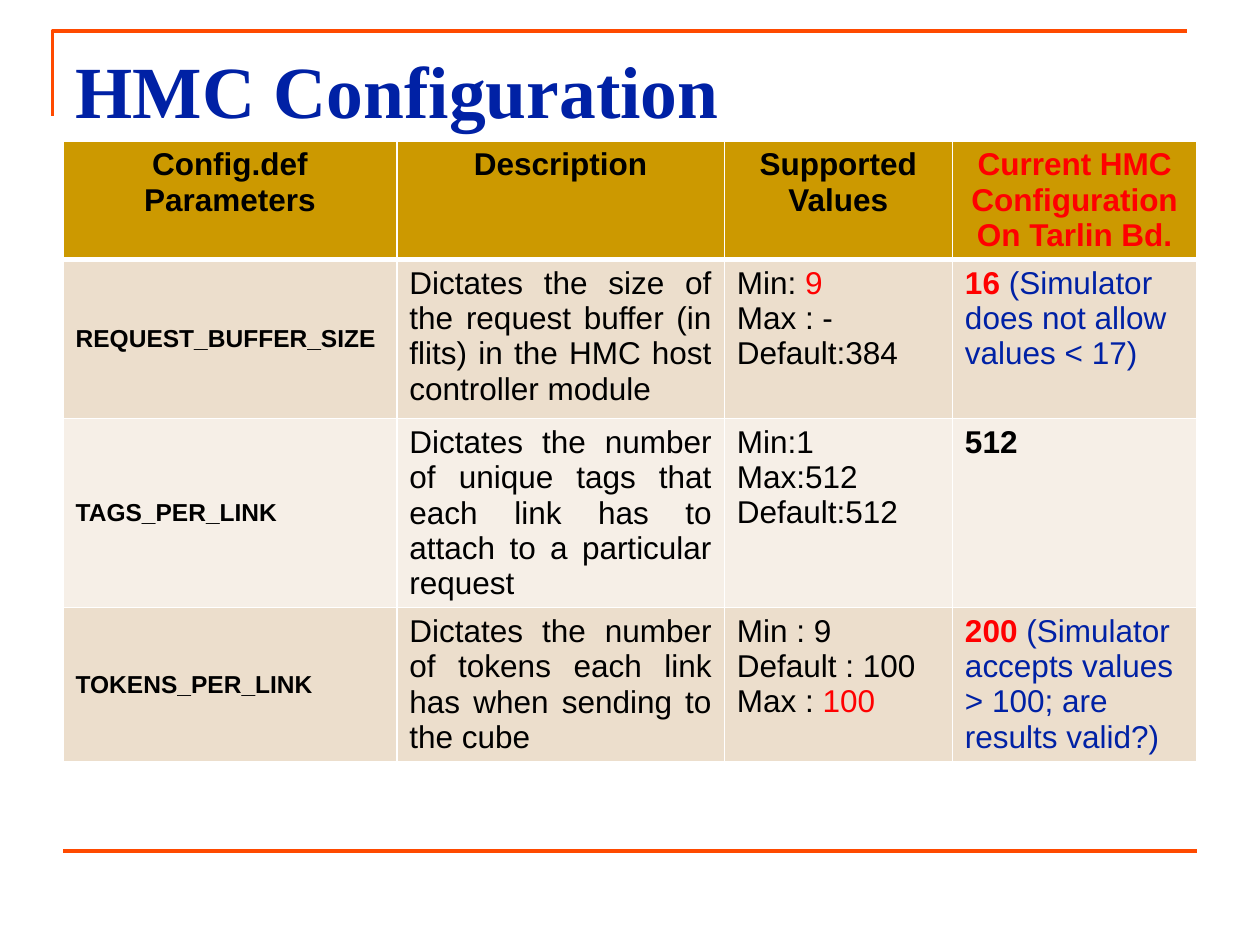
import pptx
import pptx.dml.color
import pptx.enum.shapes
import pptx.enum.text
import pptx.oxml
import pptx.oxml.ns
import pptx.util

RGBColor = pptx.dml.color.RGBColor
ALIGN = pptx.enum.text.PP_ALIGN
ANCHOR = pptx.enum.text.MSO_ANCHOR
Cm = pptx.util.Cm
Pt = pptx.util.Pt

ORANGE = RGBColor(0xFF, 0x4A, 0x00)
BLUE = RGBColor(0x00, 0x21, 0xA5)
RED = RGBColor(0xFF, 0x00, 0x00)
BLACK = RGBColor(0x00, 0x00, 0x00)
WHITE = RGBColor(0xFF, 0xFF, 0xFF)
GOLD = RGBColor(0xCC, 0x99, 0x00)
BAND_FILLS = (RGBColor(0xEC, 0xDE, 0xCC), RGBColor(0xF6, 0xEF, 0xE7))

LEFT, WIDTH = 1.27, 22.86
COLUMN_WIDTHS = (6.73, 6.6, 4.6, 4.93)
ROW_HEIGHTS = (2.36, 3.21, 3.81, 3.1)

HEADERS = (
    ("Config.def Parameters", BLACK),
    ("Description", BLACK),
    ("Supported Values", BLACK),
    ("Current HMC Configuration On Tarlin Bd.", RED),
)

# Parameter, description, supported values (label, value, value colour),
# current setting (value, value colour, remark)
PARAMETERS = (
    ("REQUEST_BUFFER_SIZE",
     "Dictates the size of the request buffer (in flits) in the HMC host controller module",
     (("Min: ", "9", RED), ("Max : ", "-", BLACK), ("Default:", "384", BLACK)),
     ("16 ", RED, "(Simulator does not allow values < 17)")),
    ("TAGS_PER_LINK",
     "Dictates the number of unique tags that each link has to attach to a particular request",
     (("Min:", "1", BLACK), ("Max:", "512", BLACK), ("Default:", "512", BLACK)),
     ("512", BLACK, "")),
    ("TOKENS_PER_LINK",
     "Dictates the number of tokens each link has when sending to the cube",
     (("Min : ", "9", BLACK), ("Default : ", "100", BLACK), ("Max : ", "100", RED)),
     ("200 ", RED, "(Simulator accepts values > 100; are results valid?)")),
)


def style_run(run, size, color, bold, font="Arial"):
    run.font.name = font
    run.font.size = Pt(size)
    run.font.bold = bold
    run.font.color.rgb = color


def style_line(shape):
    shape.line.color.rgb = ORANGE
    shape.line.width = Pt(2.25)


def add_frame(slide):
    # Corner line above and left of the title
    builder = slide.shapes.build_freeform(Cm(1.06), Cm(2.33))
    builder.add_line_segments([(Cm(1.06), Cm(0.63)), (Cm(23.92), Cm(0.63))], close=False)
    corner = builder.convert_to_shape()
    corner.fill.background()
    corner.shadow.inherit = False
    style_line(corner)

    # Footer line
    footer = slide.shapes.add_connector(
        pptx.enum.shapes.MSO_CONNECTOR.STRAIGHT,
        Cm(LEFT), Cm(17.15), Cm(LEFT + WIDTH), Cm(17.15))
    style_line(footer)
    footer._element.spPr.append(pptx.oxml.parse_xml(
        f'<a:effectLst {pptx.oxml.ns.nsdecls("a")}/>'))


def add_title(slide):
    title = slide.shapes.title
    title.left, title.top, title.width, title.height = Cm(LEFT), Cm(0.76), Cm(WIDTH), Cm(2.62)
    frame = title.text_frame
    frame.text = "HMC Configuration"
    frame.auto_size = pptx.enum.text.MSO_AUTO_SIZE.NONE
    frame.vertical_anchor = ANCHOR.TOP
    frame.margin_top = Cm(0.14)
    frame.paragraphs[0].alignment = ALIGN.LEFT
    style_run(frame.paragraphs[0].runs[0], 42, BLUE, True, "Times New Roman")


def set_borders(cell, top, bottom):
    properties = cell._tc.get_or_add_tcPr()
    for side, points in (("L", 1), ("R", 1), ("T", top), ("B", bottom)):
        properties.append(pptx.oxml.parse_xml(
            f'<a:ln{side} {pptx.oxml.ns.nsdecls("a")} w="{Pt(points)}">'
            f'<a:solidFill><a:srgbClr val="{WHITE}"/></a:solidFill></a:ln{side}>'))


def fill_cell(cell, paragraphs, align=ALIGN.LEFT, anchor=ANCHOR.TOP):
    """Write paragraphs, each a list of (text, size, color, bold) runs."""
    frame = cell.text_frame
    cell.vertical_anchor = anchor
    for index, runs in enumerate(paragraphs):
        paragraph = frame.add_paragraph() if index else frame.paragraphs[0]
        paragraph.alignment = align
        for text, size, color, bold in runs:
            run = paragraph.add_run()
            run.text = text
            style_run(run, size, color, bold)


def add_parameter_table(slide):
    table = slide.shapes.add_table(
        len(ROW_HEIGHTS), len(COLUMN_WIDTHS),
        Cm(LEFT), Cm(2.84), Cm(WIDTH), Cm(sum(ROW_HEIGHTS))).table
    for column, width in zip(table.columns, COLUMN_WIDTHS):
        column.width = Cm(width)
    for index, (row, height) in enumerate(zip(table.rows, ROW_HEIGHTS)):
        row.height = Cm(height)
        for cell in row.cells:
            set_borders(cell, 3 if index == 1 else 1, 3 if index == 0 else 1)
            cell.fill.solid()
            cell.fill.fore_color.rgb = BAND_FILLS[(index - 1) % 2] if index else GOLD

    # Header row
    for cell, (text, color) in zip(table.rows[0].cells, HEADERS):
        fill_cell(cell, [[(text, 18, color, True)]], ALIGN.CENTER)

    # One row per parameter
    for index, (name, description, limits, current) in enumerate(PARAMETERS, start=1):
        value, value_color, remark = current
        setting = [(value, 18, value_color, True)]
        if remark:
            setting.append((remark, 18, BLUE, False))
        fill_cell(table.cell(index, 0), [[(name, 14, BLACK, True)]], anchor=ANCHOR.MIDDLE)
        fill_cell(table.cell(index, 1), [[(description, 18, BLACK, False)]], ALIGN.JUSTIFY,
                  ANCHOR.TOP if index == 1 else ANCHOR.MIDDLE)
        fill_cell(table.cell(index, 2), [
            [(label, 18, BLACK, False), (limit, 18, color, False)]
            for label, limit, color in limits])
        fill_cell(table.cell(index, 3), [setting])


def main():
    presentation = pptx.Presentation()
    presentation.slide_width, presentation.slide_height = Cm(25.4), Cm(19.05)
    slide = presentation.slides.add_slide(presentation.slide_layouts[5])
    add_frame(slide)
    add_title(slide)
    add_parameter_table(slide)
    presentation.save("out.pptx")


if __name__ == "__main__":
    main()
